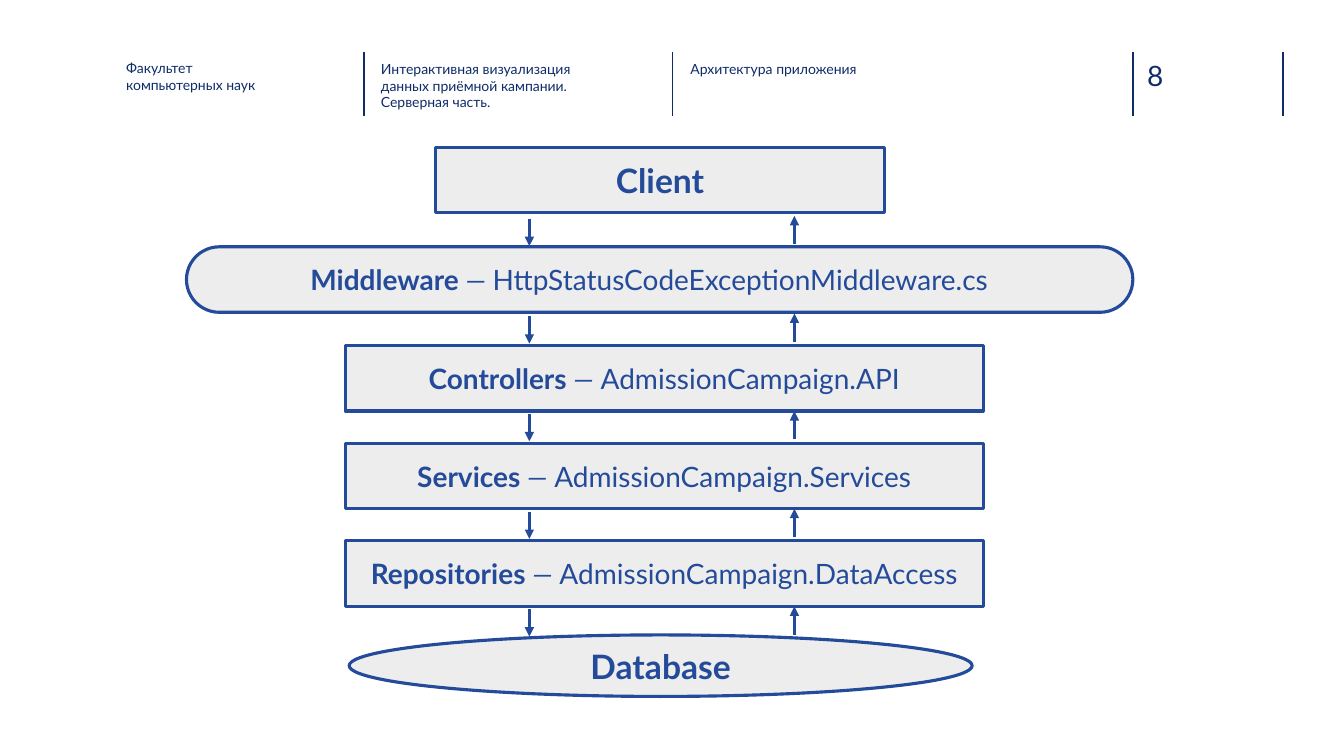
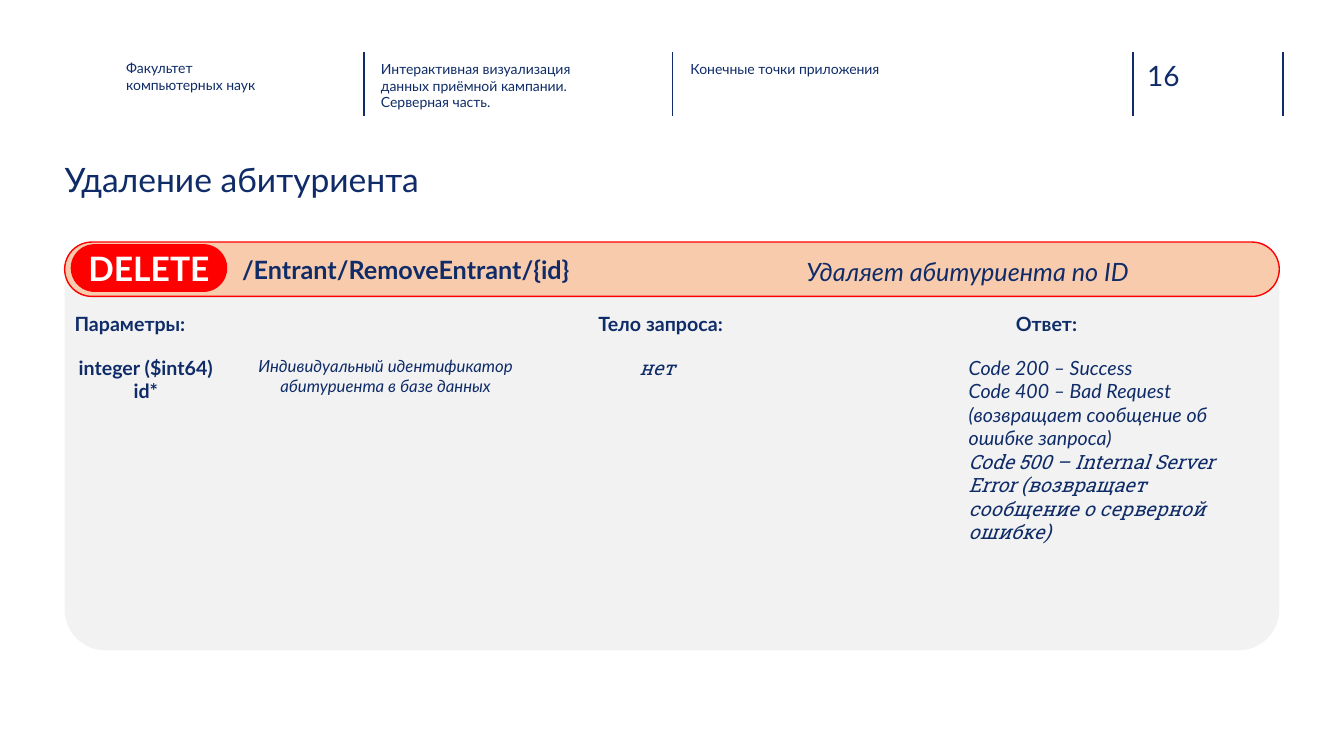
from dataclasses import dataclass

from lxml import etree
from pptx import Presentation
from pptx.dml.color import RGBColor
from pptx.enum import shapes, text
from pptx.oxml import ns
from pptx.util import Cm, Pt


@dataclass(frozen=True)
class Theme:
    font: str = "Lato"
    serif: str = "Roboto Slab"
    navy: str = "0F2C68"
    blue: str = "244A9A"
    box: str = "EDEDED"
    panel: str = "F2F2F2"
    peach: str = "F8CBAD"
    red: str = "FF0000"
    white: str = "FFFFFF"
    caption: int = 10
    note: int = 12
    body: int = 14
    lead: int = 18
    label: int = 20
    heading: int = 24
    thin: float = 1
    thick: float = 2.25


T = Theme()
LEFT, CENTER = text.PP_ALIGN.LEFT, text.PP_ALIGN.CENTER
TOP, MIDDLE = text.MSO_ANCHOR.TOP, text.MSO_ANCHOR.MIDDLE
RECT = shapes.MSO_SHAPE.RECTANGLE
ROUND = shapes.MSO_SHAPE.ROUNDED_RECTANGLE
OVAL = shapes.MSO_SHAPE.OVAL
INSETS = (0.25, 0.13, 0.25, 0.13)
NO_INSETS = (0, 0, 0, 0)

PANEL_LEFT, PANEL_TOP, PANEL_WIDTH = 1.63, 6.1, 30.61
PROJECT = "Интерактивная визуализация данных приёмной кампании. Серверная часть."


def rgb(color):
    return RGBColor.from_string(color)


def lengths(*values):
    return [Cm(v) for v in values]


def write(tf, paragraphs, size=T.body, color=T.navy, font=T.font, bold=False,
          italic=False, align=LEFT, anchor=TOP, insets=INSETS):
    """Fill a frame; a paragraph is a string or a list of (text, font overrides)."""
    tf.word_wrap = True
    tf.auto_size = text.MSO_AUTO_SIZE.NONE
    tf.vertical_anchor = anchor
    (tf.margin_left, tf.margin_top,
     tf.margin_right, tf.margin_bottom) = lengths(*insets)
    for i, runs in enumerate(paragraphs):
        p = tf.add_paragraph() if i else tf.paragraphs[0]
        p.alignment = align
        p.space_before = Pt(0)
        for words, own in [(runs, {})] if isinstance(runs, str) else runs:
            r = p.add_run()
            r.text = words
            r.font.name = own.get("font", font)
            r.font.size = Pt(size)
            r.font.bold = own.get("bold", bold)
            r.font.italic = own.get("italic", italic)
            r.font.color.rgb = rgb(color)


def fill_placeholder(sp, at, paragraphs, **fmt):
    sp.left, sp.top, sp.width, sp.height = lengths(*at)
    write(sp.text_frame, paragraphs, insets=NO_INSETS, **fmt)
    for p in sp.text_frame.paragraphs:
        pPr = p._p.get_or_add_pPr()
        pPr.set("marL", "0")
        pPr.set("indent", "0")
        etree.SubElement(pPr, ns.qn("a:buNone"))


def add_text(slide, at, paragraphs, **fmt):
    sp = slide.shapes.add_textbox(*lengths(*at))
    write(sp.text_frame, paragraphs, **fmt)


def add_box(slide, kind, at, fill, line=None, weight=T.thin, adj=None,
            paragraphs=(), **fmt):
    sp = slide.shapes.add_shape(kind, *lengths(*at))
    sp.shadow.inherit = False
    sp.fill.solid()
    sp.fill.fore_color.rgb = rgb(fill)
    if line:
        sp.line.color.rgb = rgb(line)
        sp.line.width = Pt(weight)
    else:
        sp.line.fill.background()
    if adj is not None:
        sp.adjustments[0] = adj
    write(sp.text_frame, paragraphs, anchor=MIDDLE, **fmt)


def add_vertical(slide, x, start, end, color, weight, arrow=False):
    line = slide.shapes.add_connector(
        shapes.MSO_CONNECTOR.STRAIGHT, *lengths(x, start, x, end))
    line.line.color.rgb = rgb(color)
    line.line.width = Pt(weight)
    if arrow:
        etree.SubElement(line.line._get_or_add_ln(), ns.qn("a:tailEnd"),
                         type="triangle")
    etree.SubElement(line._element.spPr, ns.qn("a:effectLst"))


def new_slide(prs, number, section, title=None):
    """Add a slide with the shared header and, if given, a title."""
    slide = prs.slides.add_slide(prs.slide_layouts.get_by_name("Comparison"))
    for x in (9.17, 16.94, 28.55, 32.33):
        add_vertical(slide, x, 1.3, 2.92, T.navy, T.thin)
    add_text(slide, (28.91, 1.47, 1.85, 0.86), [str(number)], size=T.label,
             insets=NO_INSETS)

    holders = {sp.placeholder_format.idx: sp for sp in slide.placeholders}
    captions = [
        (3.18, 1.5, ["Факультет", "компьютерных наук"]),
        (9.6, 1.52, [PROJECT]),
        (17.4, 1.52, [section]),
    ]
    for idx, (x, y, paragraphs) in enumerate(captions, 1):
        fill_placeholder(holders.pop(idx), (x, y, 5.74, 1.14), paragraphs,
                         size=T.caption)
    if title:
        fill_placeholder(holders.pop(0), (PANEL_LEFT, 4.01, 14.58, 2.16),
                         [title], size=T.heading)
    for sp in holders.values():
        sp._element.getparent().remove(sp._element)
    return slide


def add_layer(slide, kind, at, name, detail=None, **fmt):
    runs = [(name, {})]
    if detail:
        runs += [(" — ", {"bold": False, "italic": True}),
                 (detail, {"bold": False})]
    add_box(slide, kind, at, T.box, T.blue, T.thick, paragraphs=[runs],
            size=T.label if detail else T.heading, color=T.blue, bold=True,
            align=CENTER, **fmt)


def architecture_slide(prs):
    slide = new_slide(prs, 8, "Архитектура приложения")
    add_layer(slide, RECT, (10.97, 3.71, 11.33, 1.65), "Client")
    add_layer(slide, ROUND, (4.7, 6.22, 23.85, 1.65), "Middleware",
              "HttpStatusCodeExceptionMiddleware.cs", adj=0.5,
              insets=(0.25, 0.13, 0.78, 0.13))
    projects = [
        ("Controllers", "AdmissionCampaign.API"),
        ("Services", "AdmissionCampaign.Services"),
        ("Repositories", "AdmissionCampaign.DataAccess"),
    ]
    pitch = 2.46
    for i, (name, project) in enumerate(projects):
        add_layer(slide, RECT, (8.7, 8.71 + pitch * i, 16.08, 1.65), name, project)
    add_layer(slide, OVAL, (8.8, 16, 15.7, 1.55), "Database")

    for i in range(5):
        for x, start, end in ((13.34, 5.51, 6.2), (20.02, 6.15, 5.44)):
            add_vertical(slide, x, start + pitch * i, end + pitch * i,
                         T.blue, T.thick, arrow=True)


def endpoint_slide(prs):
    slide = new_slide(prs, 16, "Конечные точки приложения", "Удаление абитуриента")
    add_box(slide, ROUND, (PANEL_LEFT, PANEL_TOP, PANEL_WIDTH, 10.29), T.panel,
            adj=0.1)
    add_box(slide, ROUND, (PANEL_LEFT, PANEL_TOP, PANEL_WIDTH, 1.37), T.peach,
            T.red, adj=0.5, paragraphs=["/Entrant/RemoveEntrant/{id}"],
            size=T.lead, bold=True, insets=(4.27, 0.13, 0.25, 0.13))
    add_box(slide, ROUND, (1.8, 6.17, 3.91, 1.17), T.red, T.red, adj=0.5,
            paragraphs=["DELETE"], size=T.heading, color=T.white, bold=True,
            align=CENTER, insets=NO_INSETS)
    add_text(slide, (20.07, 6.32, 11.15, 1.02), ["Удаляет абитуриента по ID"],
             size=T.lead, italic=True)

    for x, heading in ((PANEL_LEFT, "Параметры:"), (14.83, "Тело запроса:"),
                       (25.35, "Ответ:")):
        add_text(slide, (x, 7.72, 5, 0.86), [heading], bold=True)

    row = 8.83
    add_text(slide, (PANEL_LEFT, row, 4.09, 1.45), ["integer ($int64)", "id*"],
             bold=True, align=CENTER)
    add_text(slide, (6.15, row, 7.14, 1.27),
             ["Индивидуальный идентификатор абитуриента в базе данных"],
             size=T.note, italic=True, align=CENTER)
    add_text(slide, (14.17, row, 4.78, 0.86), ["нет"], font=T.serif,
             italic=True, align=CENTER)
    add_text(slide, (24.16, row, 7.87, 4.45), [
        "Code 200 – Success",
        "Code 400 – Bad Request (возвращает сообщение об ошибке запроса)",
        [("Code 500 – Internal Server Error (возвращает сообщение о серверной ошибке)",
          {"font": T.serif})],
    ], italic=True)


def main():
    prs = Presentation()
    prs.slide_width, prs.slide_height = lengths(33.87, 19.05)
    architecture_slide(prs)
    endpoint_slide(prs)
    prs.save("out.pptx")


if __name__ == "__main__":
    main()
